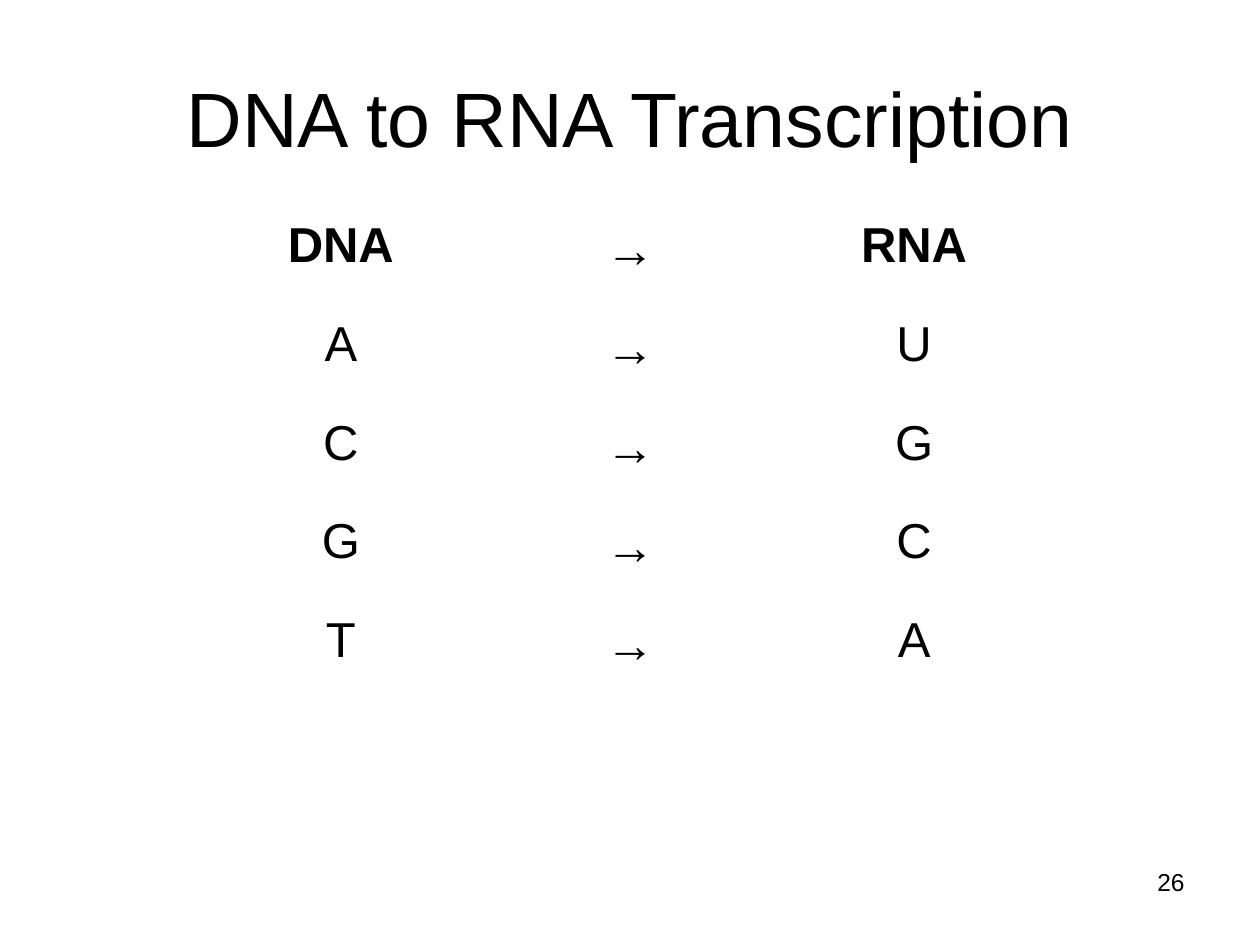
import pptx
import pptx.util
import pptx.dml.color
import pptx.enum.text

Inches = pptx.util.Inches
Align = pptx.enum.text.PP_ALIGN
Anchor = pptx.enum.text.MSO_ANCHOR

TITLE = "DNA to RNA Transcription"
PAGE_NUMBER = "26"
ARROW = "→"
PAIRS = [("DNA", "RNA"), ("A", "U"), ("C", "G"), ("G", "C"), ("T", "A")]

THEME = {
    "font": "Arial",
    "text": pptx.dml.color.RGBColor.from_string("000000"),
    "title": 44,
    "body": 28,
    "number": 14,
    "letter_spacing": 0.82,
    "arrow_spacing": 0.94,
}
TABLE_LEFT, TABLE_TOP, TABLE_HEIGHT = 1.58, 1.75, 3.92
COLUMN_WIDTHS = [2.25, 2.34, 2.17]


def write_text(frame, text, *, size, align=Align.CENTER, bold=False, line_spacing=None):
    frame.word_wrap = True
    paragraph = frame.paragraphs[0]
    paragraph.text = text
    paragraph.alignment = align
    paragraph.line_spacing = line_spacing
    font = paragraph.runs[0].font
    font.name = THEME["font"]
    font.size = pptx.util.Pt(size)
    font.bold = bold
    font.color.rgb = THEME["text"]


def add_text_box(slide, text, box, anchor=Anchor.TOP, **text_format):
    shape = slide.shapes.add_textbox(*map(Inches, box))
    shape.text_frame.vertical_anchor = anchor
    write_text(shape.text_frame, text, **text_format)


def add_pair_table(slide):
    table = slide.shapes.add_table(
        len(PAIRS), len(COLUMN_WIDTHS), Inches(TABLE_LEFT), Inches(TABLE_TOP),
        Inches(sum(COLUMN_WIDTHS)), Inches(TABLE_HEIGHT),
    ).table
    table.first_row = False
    table.horz_banding = False
    for column, width in zip(table.columns, COLUMN_WIDTHS):
        column.width = Inches(width)
    for row_index, (dna, rna) in enumerate(PAIRS):
        table.rows[row_index].height = Inches(TABLE_HEIGHT / len(PAIRS))
        for column_index, text in enumerate((dna, ARROW, rna)):
            is_arrow = text == ARROW
            cell = table.cell(row_index, column_index)
            cell.fill.background()
            write_text(
                cell.text_frame, text, size=THEME["body"],
                bold=row_index == 0 and not is_arrow,
                line_spacing=THEME["arrow_spacing" if is_arrow else "letter_spacing"],
            )


def main():
    presentation = pptx.Presentation()
    presentation.slide_width = Inches(10)
    presentation.slide_height = Inches(7.5)
    slide = presentation.slides.add_slide(presentation.slide_layouts[6])
    add_text_box(slide, PAGE_NUMBER, (7.17, 6.83, 2.33, 0.52),
                 size=THEME["number"], align=Align.RIGHT)
    add_text_box(slide, TITLE, (0.5, 0.3, 9, 1.25), anchor=Anchor.MIDDLE,
                 size=THEME["title"])
    add_pair_table(slide)
    presentation.save("out.pptx")


if __name__ == "__main__":
    main()
